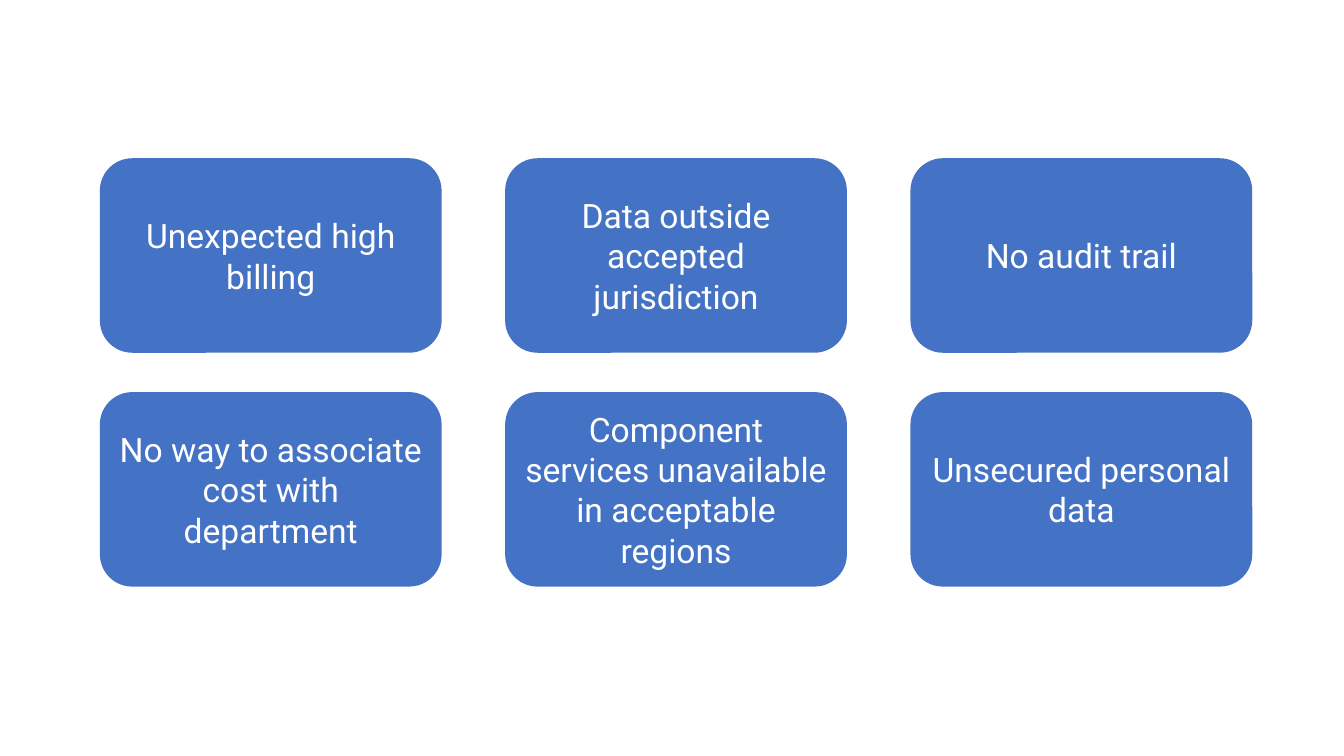
from dataclasses import dataclass

from pptx import Presentation
from pptx.dml.color import RGBColor
from pptx.enum.shapes import MSO_SHAPE as Shape
from pptx.enum.text import MSO_ANCHOR as Anchor, PP_ALIGN as Align
from pptx.util import Inches, Pt

RISKS = [
    ["Unexpected high billing", "Data outside accepted jurisdiction", "No audit trail"],
    [
        "No way to associate cost with department",
        "Component services unavailable in acceptable regions",
        "Unsecured personal data",
    ],
]


@dataclass(frozen=True)
class Theme:
    card: RGBColor = RGBColor(0x44, 0x72, 0xC4)
    text: RGBColor = RGBColor(0xFF, 0xFF, 0xFF)
    font: str = "Roboto"
    size: Pt = Pt(24)


THEME = Theme()
LEFT, TOP = 0.99, 1.57
CARD_WIDTH, CARD_HEIGHT = 3.39, 1.93
COLUMN_STEP, ROW_STEP = 4.02, 2.32


def add_risk_card(slide, risk, left, top):
    card = slide.shapes.add_shape(
        Shape.ROUNDED_RECTANGLE,
        Inches(left), Inches(top), Inches(CARD_WIDTH), Inches(CARD_HEIGHT),
    )
    card.shadow.inherit = False
    card.fill.solid()
    card.fill.fore_color.rgb = THEME.card
    card.line.fill.background()

    frame = card.text_frame
    frame.text = risk
    frame.word_wrap = True
    frame.vertical_anchor = Anchor.MIDDLE
    paragraph = frame.paragraphs[0]
    paragraph.alignment = Align.CENTER
    font = paragraph.runs[0].font
    font.name, font.size = THEME.font, THEME.size
    font.color.rgb = THEME.text


def main():
    deck = Presentation()
    deck.slide_width, deck.slide_height = Inches(13.33), Inches(7.5)
    slide = deck.slides.add_slide(deck.slide_layouts[6])
    for row, risks in enumerate(RISKS):
        for column, risk in enumerate(risks):
            add_risk_card(slide, risk, LEFT + column * COLUMN_STEP, TOP + row * ROW_STEP)
    deck.save("out.pptx")


if __name__ == "__main__":
    main()
